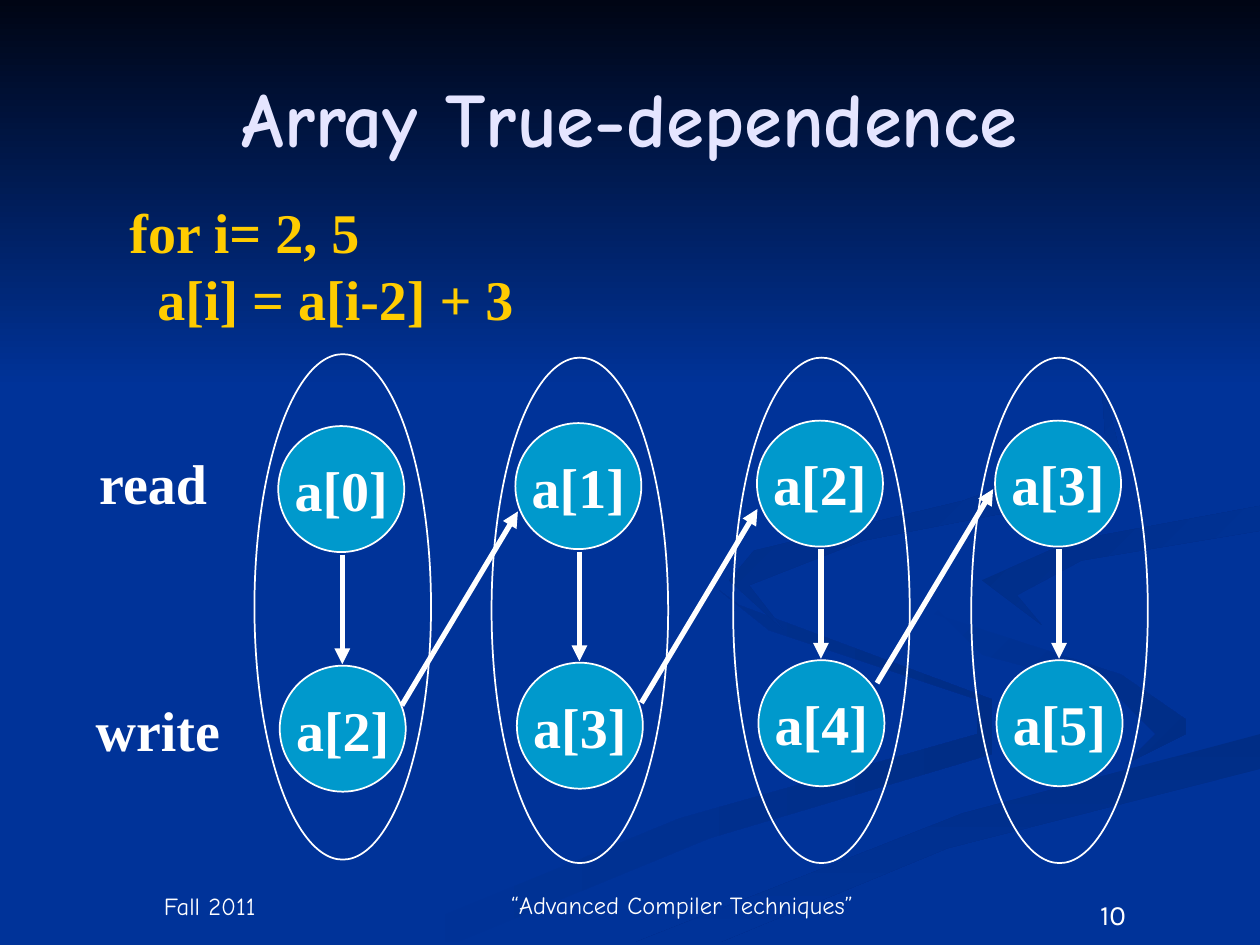
from lxml.etree import SubElement
from pptx import Presentation
from pptx.dml.color import RGBColor
from pptx.enum.shapes import MSO_CONNECTOR, MSO_SHAPE
from pptx.enum.text import MSO_ANCHOR as Anchor, PP_ALIGN as Align
from pptx.oxml.ns import qn
from pptx.util import Cm, Pt

BLUE = RGBColor(0x00, 0x33, 0x99)
SHADE = RGBColor(0x00, 0x2D, 0x86)
NIGHT = RGBColor(0x00, 0x05, 0x14)
NODE_BLUE = RGBColor(0x00, 0x99, 0xCC)
LAVENDER = RGBColor(0xE5, 0xE5, 0xFF)
YELLOW = RGBColor(0xFF, 0xCC, 0x00)
WHITE = RGBColor(0xFF, 0xFF, 0xFF)

CODE_FONT = {"name": "Times New Roman", "size": Pt(32), "bold": True}
LABEL_FONT = {**CODE_FONT, "color": WHITE}
FOOTER_FONT = {"name": "Comic Neue", "size": Pt(14), "color": WHITE}

# Background ribbons: start colour, end colour, clockwise angle, outline in cm
RIBBONS = [
    (BLUE, SHADE, 0, [
        (20, 14.1), (14.9, 12.2), (14.5, 11.9), (15.5, 12.7), (19.7, 14.1),
        (19.7, 14.8), (13.7, 16.5), (7.6, 19), (9.2, 19), (14.3, 16.9), (20, 15.2)]),
    (BLUE, SHADE, 45, [
        (23.9, 14.5), (22.6, 13.6), (18.6, 12.3), (18.4, 11.8), (19.8, 13.2),
        (22.4, 13.9), (23.3, 14.8), (22.7, 15.4), (23.9, 14.8)]),
    (SHADE, BLUE, 90, [
        (12.8, 19), (14.5, 19), (19.1, 17.1), (25.4, 15.5), (25.4, 14.8), (19.4, 16.4)]),
    (SHADE, BLUE, 45, [
        (19.8, 11.7), (21, 12.6), (20.5, 12), (21.8, 11.3), (25.4, 10.7),
        (25.4, 10.2), (21.6, 10.9)]),
    (SHADE, BLUE, 45, [
        (17.4, 10.9), (21, 10.2), (22.6, 9.2), (22.2, 7.6), (22.3, 9.1), (19.4, 10.1),
        (15.2, 11.1), (14.7, 11.7), (15.8, 12.7), (15.1, 11.8)]),
    (NIGHT, BLUE, 90, [(0, 0), (0, 7.82), (25.4, 7.82), (25.4, 0)]),
]

# Iterations: oval left, oval top, read node top
ITERATIONS = [
    (5.13, 7.14, 8.59),
    (9.91, 7.21, 8.53),
    (14.78, 7.21, 8.48),
    (19.58, 7.21, 8.48),
]
DISTANCE = 2
NODE_SIZE = 2.54
WRITE_DROP = 4.83
DEPENDENCE_STARTS = [(8.1, 14.22), (12.93, 14.17), (17.68, 13.77)]
DEPENDENCE_STEP = (2.34, -3.91)


def write_text(shape, lines, font, align=Align.LEFT, anchor=Anchor.TOP, wrap=True):
    frame = shape.text_frame
    frame.text = "\n".join(lines)
    frame.word_wrap = wrap
    frame.vertical_anchor = anchor
    for paragraph in frame.paragraphs:
        paragraph.alignment = align
        for name, value in font.items():
            if name == "color":
                paragraph.font.color.rgb = value
            else:
                setattr(paragraph.font, name, value)


def add_text(slide, box, lines, font, **layout):
    shape = slide.shapes.add_textbox(*map(Cm, box))
    write_text(shape, lines, font, **layout)


def add_ribbon(slide, start, end, angle, outline):
    points = [(Cm(x), Cm(y)) for x, y in outline]
    builder = slide.shapes.build_freeform(*points[0])
    builder.add_line_segments(points[1:])
    shape = builder.convert_to_shape()
    shape.shadow.inherit = False
    shape.line.fill.background()
    shape.fill.gradient()
    shape.fill.gradient_angle = -angle % 360
    for stop, color in zip(shape.fill.gradient_stops, (start, end)):
        stop.color.rgb = color


def add_ellipse(slide, left, top, width, height, label=None):
    shape = slide.shapes.add_shape(MSO_SHAPE.OVAL, *map(Cm, (left, top, width, height)))
    shape.shadow.inherit = False
    shape.line.color.rgb = WHITE
    shape.line.width = Pt(1)
    if label is None:
        shape.fill.background()
        return
    shape.fill.solid()
    shape.fill.fore_color.rgb = NODE_BLUE
    write_text(shape, [label], LABEL_FONT, Align.CENTER, Anchor.MIDDLE, wrap=False)


def add_arrow(slide, *ends):
    connector = slide.shapes.add_connector(MSO_CONNECTOR.STRAIGHT, *map(Cm, ends))
    connector.line.color.rgb = WHITE
    connector.line.width = Pt(3)
    line = connector._element.spPr.find(qn("a:ln"))
    SubElement(line, qn("a:tailEnd"), type="triangle")
    SubElement(connector._element.spPr, qn("a:effectLst"))


def add_iteration(slide, index, left, top, read_top):
    write_top = read_top + WRITE_DROP
    add_ellipse(slide, left + 0.48, read_top, NODE_SIZE, NODE_SIZE, f"a[{index}]")
    add_ellipse(slide, left + 0.51, write_top, NODE_SIZE, NODE_SIZE, f"a[{index + DISTANCE}]")
    add_ellipse(slide, left, top, 3.56, 10.19)
    middle = left + 1.77
    add_arrow(slide, middle, read_top + 2.59, middle, read_top + 4.8)


def main():
    presentation = Presentation()
    presentation.slide_width, presentation.slide_height = Cm(25.4), Cm(19.05)
    slide = presentation.slides.add_slide(presentation.slide_layouts[5])

    # Background
    slide.background.fill.solid()
    slide.background.fill.fore_color.rgb = BLUE
    for ribbon in RIBBONS:
        add_ribbon(slide, *ribbon)

    # Title, moved in front of the ribbons
    title = slide.shapes.title
    slide.shapes._spTree.append(title._element)
    title.left, title.top, title.width, title.height = map(Cm, (1.27, 0.76, 22.86, 3.18))
    write_text(title, ["Array True-dependence"],
               {"name": "Comic Neue", "size": Pt(44), "bold": True, "color": LAVENDER},
               Align.CENTER, Anchor.MIDDLE)

    # Footer
    add_text(slide, (20.32, 17.96, 4.24, 1.02), ["10"],
             {"name": "Karla", "size": Pt(16), "color": WHITE}, align=Align.CENTER)
    for box, text in [((1.27, 17.78, 5.92, 0.91), "Fall 2011"),
                      ((9.73, 17.78, 8.05, 0.89), "“Advanced Compiler Techniques”")]:
        add_text(slide, box, [text], FOOTER_FONT, align=Align.CENTER, anchor=Anchor.BOTTOM)

    # Loop code and row labels
    add_text(slide, (2.36, 3.86, 9.17, 2.97), ["for i= 2, 5", "  a[i] = a[i-2] + 3"],
             {**CODE_FONT, "color": YELLOW}, wrap=False)
    add_text(slide, (1.75, 8.92, 3.15, 1.63), ["read"], LABEL_FONT, wrap=False)
    add_text(slide, (1.68, 13.89, 3.56, 1.63), ["write"], LABEL_FONT, wrap=False)

    # Iterations and the dependences between them
    for index, iteration in enumerate(ITERATIONS):
        add_iteration(slide, index, *iteration)
    for x, y in DEPENDENCE_STARTS:
        add_arrow(slide, x, y, x + DEPENDENCE_STEP[0], y + DEPENDENCE_STEP[1])

    presentation.save("out.pptx")


if __name__ == "__main__":
    main()
